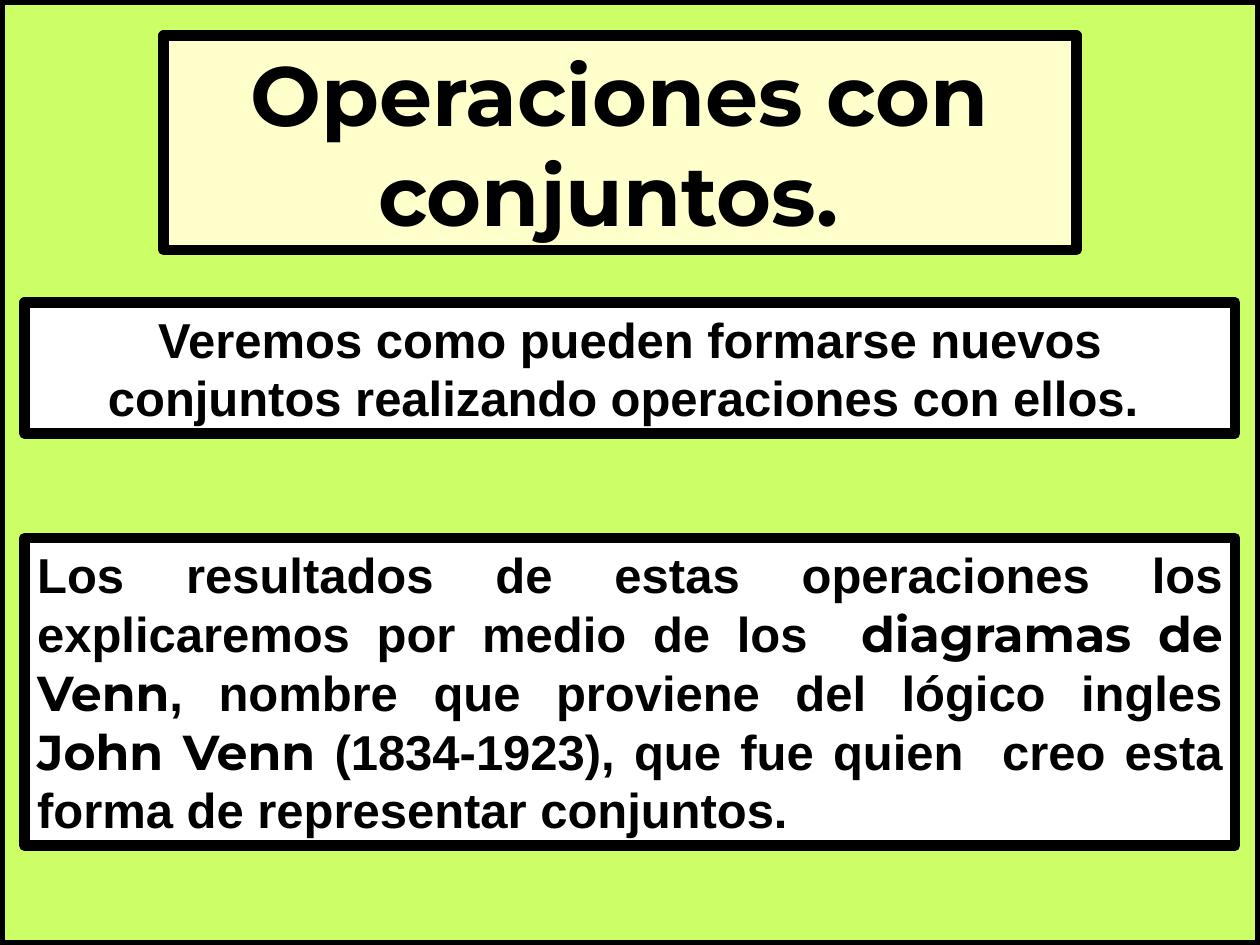
import pptx
import pptx.util
import pptx.dml.color
import pptx.enum.shapes
import pptx.enum.text

Cm, Pt = pptx.util.Cm, pptx.util.Pt
ALIGN = pptx.enum.text.PP_ALIGN

COLORS = {"lime": "CCFF66", "cream": "FFFFCC", "white": "FFFFFF", "black": "000000"}
BODY, ACCENT = "Arial", "Montserrat"
SLIDE = (25.4, 19.05)
BOX_LEFT, BOX_WIDTH = 0.5, 24.4

TITLE = [("Operaciones con conjuntos. ", ACCENT)]
INTRO = [("Veremos como pueden formarse nuevos conjuntos realizando operaciones con ellos. ", BODY)]
VENN = [
    ("Los resultados de estas operaciones los explicaremos por medio de los  ", BODY),
    ("diagramas de Venn", ACCENT),
    (", nombre que proviene del lógico ingles ", BODY),
    ("John Venn", ACCENT),
    (" (1834-1923), que fue quien  creo esta forma de representar conjuntos.", BODY),
]
BOXES = [
    (INTRO, 6.1, 2.64, ALIGN.CENTER),
    (VENN, 10.85, 6.2, ALIGN.JUSTIFY),
]


def rgb(name):
    return pptx.dml.color.RGBColor.from_string(COLORS[name])


def paint(sp, fill):
    sp.fill.solid()
    sp.fill.fore_color.rgb = rgb(fill)
    sp.line.color.rgb = rgb("black")
    sp.line.width = Pt(6)


def add_rect(s, left, top, width, height, fill):
    sp = s.shapes.add_shape(pptx.enum.shapes.MSO_SHAPE.RECTANGLE,
                            Cm(left), Cm(top), Cm(width), Cm(height))
    sp.shadow.inherit = False
    paint(sp, fill)
    return sp


def write(sp, runs, size=28, align=ALIGN.CENTER):
    tf = sp.text_frame
    tf.word_wrap = True
    tf.auto_size = pptx.enum.text.MSO_AUTO_SIZE.NONE
    tf.vertical_anchor = pptx.enum.text.MSO_ANCHOR.TOP
    tf.margin_left = tf.margin_right = Cm(0.25)
    tf.margin_top = tf.margin_bottom = Cm(0.13)
    p = tf.paragraphs[0]
    p.alignment = align
    p.line_spacing = 1.0
    p.space_before = Pt(0)
    for text, font in runs:
        r = p.add_run()
        r.text = text
        r.font.name = font
        r.font.size = Pt(size)
        r.font.bold = True
        r.font.color.rgb = rgb("black")


def main():
    prs = pptx.Presentation()
    prs.slide_width, prs.slide_height = Cm(SLIDE[0]), Cm(SLIDE[1])
    s = prs.slides.add_slide(prs.slide_layouts[5])

    title = s.shapes.title
    title.left, title.top, title.width, title.height = Cm(3.3), Cm(0.72), Cm(18.4), Cm(4.32)
    paint(title, "cream")
    write(title, TITLE, size=48)

    frame = add_rect(s, 0, 0, *SLIDE, "lime")
    title.element.addprevious(frame.element)

    for runs, top, height, align in BOXES:
        write(add_rect(s, BOX_LEFT, top, BOX_WIDTH, height, "white"), runs, align=align)

    prs.save("out.pptx")


if __name__ == "__main__":
    main()
